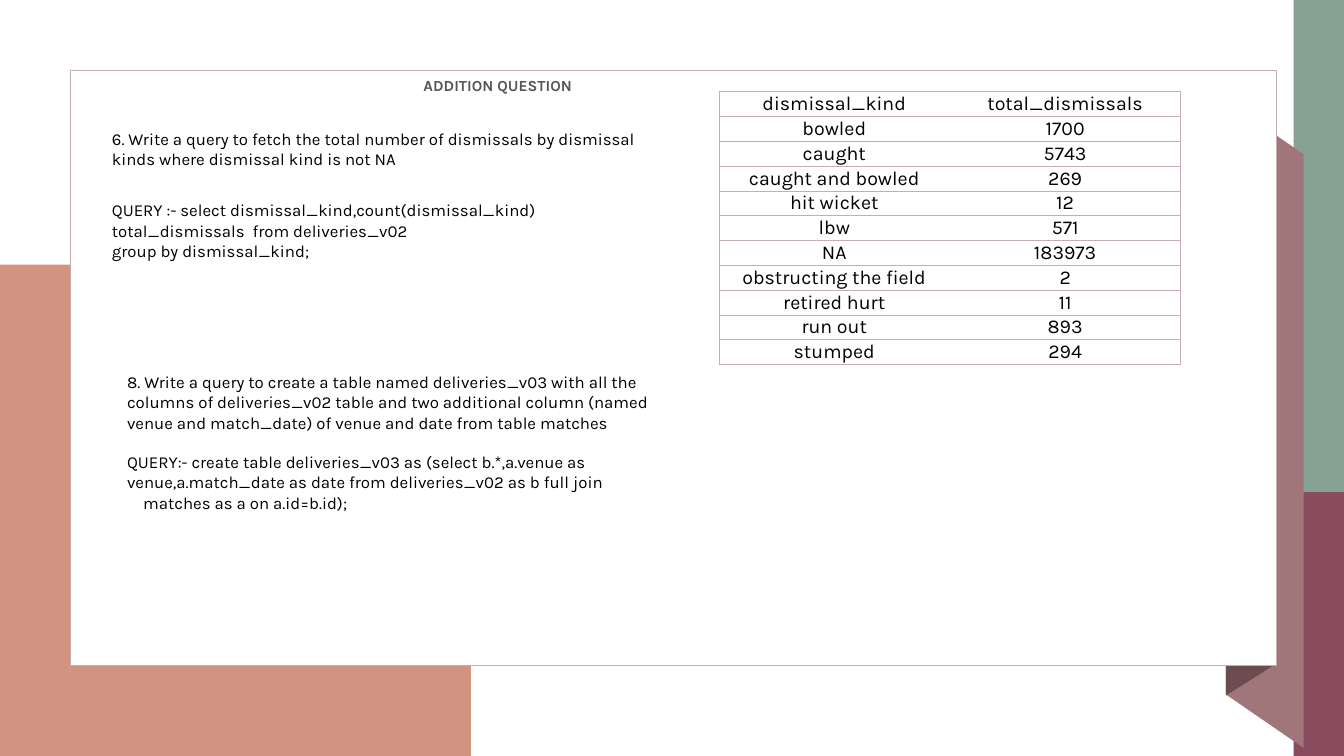
"""Build the dismissals question slide with its query text and result table."""
from dataclasses import dataclass

from lxml.etree import SubElement
from pptx import Presentation
from pptx.dml.color import RGBColor
from pptx.enum.shapes import MSO_SHAPE as Preset
from pptx.enum.text import MSO_ANCHOR as Anchor, MSO_AUTO_SIZE as AutoSize, PP_ALIGN as Align
from pptx.oxml.ns import qn
from pptx.util import Emu, Inches, Pt

WIDTH, HEIGHT = Inches(13.33), Inches(7.5)
COLUMNS, ROWS = 133.3, 75
FONT, ROSE, BLACK, WHITE = "Karla", "C6ADB0", "000000", "FFFFFF"


@dataclass(frozen=True)
class Box:
    """A place on the grid, in columns and rows."""
    left: float
    top: float
    width: float
    height: float

    def lengths(self) -> tuple[Emu, Emu, Emu, Emu]:
        """Return the place as slide lengths."""
        return column(self.left), row(self.top), column(self.width), row(self.height)


@dataclass(frozen=True)
class Panel:
    """A filled rectangle with an optional outline."""
    box: Box
    fill: str
    line: str = ""


@dataclass(frozen=True)
class Fold:
    """A filled side of the ribbon, as grid points."""
    points: tuple[tuple[float, float], ...]
    fill: str


@dataclass(frozen=True)
class Line:
    """A paragraph with the space before it and its indent in columns."""
    text: str
    before: float = 0
    indent: float = 0


@dataclass(frozen=True)
class TextBlock:
    """Text for one placeholder of the layout."""
    holder: int
    box: Box
    lines: tuple[Line, ...]
    size: float = 12
    color: str = BLACK
    bold: bool = False


PANELS = (
    Panel(Box(0, 26.25, 46.7, 48.75), "D29381"),
    Panel(Box(128.3, 48.6, 5, 26.4), "884C5E"),
    Panel(Box(128.3, 0, 5, 48.8), "86A293"),
)
FOLDS = (
    Fold(((129.3, 74.2), (121.6, 68.9), (121.6, 10), (129.3, 15.3)), "A0767B"),
    Fold(((126.2, 66.1), (121.6, 69), (121.6, 10), (126.2, 7)), "6D4C50"),
)
CARD = Panel(Box(7, 7, 119.6, 59), WHITE, ROSE)
TEXTS = (
    TextBlock(0, Box(41, 7.1, 45.8, 2.9), (Line("ADDITION QUESTION"),), 11, "555555", True),
    TextBlock(1, Box(10.1, 12.3, 56.7, 13.1), (
        Line("6. Write a query to fetch the total number of dismissals by dismissal "
             "kinds where dismissal kind is not NA"),
        Line("QUERY :- select dismissal_kind,count(dismissal_kind) "
             "total_dismissals  from deliveries_v02", before=22),
        Line("group by dismissal_kind;"),
    )),
    TextBlock(2, Box(11.6, 36.4, 57, 15.1), (
        Line("8. Write a query to create a table named deliveries_v03 with all the columns "
             "of deliveries_v02 table and two additional column (named venue and match_date) "
             "of venue and date from table matches"),
        Line("QUERY:- create table deliveries_v03 as (select b.*,a.venue as "
             "venue,a.match_date as date from deliveries_v02 as b full join", before=14),
        Line("matches as a on a.id=b.id);", indent=1.6),
    )),
)
TABLE_BOX = Box(71.3, 9.1, 45.8, 27.1)
DISMISSALS = (
    ("dismissal_kind", "total_dismissals"),
    ("bowled", "1700"),
    ("caught", "5743"),
    ("caught and bowled", "269"),
    ("hit wicket", "12"),
    ("lbw", "571"),
    ("NA", "183973"),
    ("obstructing the field", "2"),
    ("retired hurt", "11"),
    ("run out", "893"),
    ("stumped", "294"),
)


def column(count: float) -> Emu:
    """Return the length of a number of columns."""
    return Emu(round(WIDTH * count / COLUMNS))


def row(count: float) -> Emu:
    """Return the length of a number of rows."""
    return Emu(round(HEIGHT * count / ROWS))


def paint(target, color: str) -> None:
    """Give a fill or a line fill one solid colour."""
    target.solid()
    target.fore_color.rgb = RGBColor.from_string(color)


def assign(target, values: dict) -> None:
    """Set attributes from a dict of format values."""
    for name, value in values.items():
        setattr(target, name, value)


def write(para, text: str, size: float, color: str, bold: bool = False) -> None:
    """Add a formatted span to a paragraph."""
    span = para.add_run()
    span.text = text
    assign(span.font, {"name": FONT, "size": Pt(size), "bold": bold})
    paint(span.font.fill, color)


def finish(shape, fill: str, line: str = "") -> None:
    """Colour a shape and drop its shadow."""
    shape.shadow.inherit = False
    paint(shape.fill, fill)
    if line:
        paint(shape.line.fill, line)
        shape.line.width = Pt(1)
    else:
        shape.line.fill.background()


def draw_panel(page, panel: Panel) -> None:
    """Draw a rectangle."""
    finish(page.shapes.add_shape(Preset.RECTANGLE, *panel.box.lengths()), panel.fill, panel.line)


def draw_fold(page, fold: Fold) -> None:
    """Draw a side of the ribbon."""
    start, *others = [(column(x), row(y)) for x, y in fold.points]
    builder = page.shapes.build_freeform(*start)
    builder.add_line_segments(others, close=True)
    finish(builder.convert_to_shape(), fold.fill)


def fill_text(page, block: TextBlock) -> None:
    """Place a placeholder in front and write its paragraphs."""
    shape = page.placeholders[block.holder]
    page.shapes._spTree.append(shape._element)
    assign(shape, dict(zip(("left", "top", "width", "height"), block.box.lengths())))
    frame = shape.text_frame
    assign(frame, {"word_wrap": True, "auto_size": AutoSize.NONE, "vertical_anchor": Anchor.TOP})
    for index, line in enumerate(block.lines):
        para = frame.add_paragraph() if index else frame.paragraphs[0]
        assign(para, {"alignment": Align.LEFT, "space_before": Pt(line.before),
                      "space_after": Pt(0), "line_spacing": 1.0})
        properties = para._p.get_or_add_pPr()
        properties.set("marL", str(column(line.indent)))
        properties.set("indent", "0")
        SubElement(properties, qn("a:buNone"))
        write(para, line.text, block.size, block.color, block.bold)


def draw_borders(cell, hidden: str) -> None:
    """Outline a cell, leaving one side without a line."""
    properties = cell._tc.get_or_add_tcPr()
    for side in "LRTB":
        edge = SubElement(properties, qn(f"a:ln{side}"), w=str(Pt(0.5)))
        if side == hidden:
            SubElement(edge, qn("a:noFill"))
        else:
            SubElement(SubElement(edge, qn("a:solidFill")), qn("a:srgbClr"), val=ROSE)


def draw_table(page) -> None:
    """Draw the result table with open inner columns."""
    frame = page.shapes.add_table(len(DISMISSALS), 2, *TABLE_BOX.lengths())
    assign(frame.table, {"first_row": False, "horz_banding": False})
    for line, record in enumerate(DISMISSALS):
        frame.table.rows[line].height = row(TABLE_BOX.height / len(DISMISSALS))
        for place, text in enumerate(record):
            cell = frame.table.cell(line, place)
            assign(cell, {"vertical_anchor": Anchor.MIDDLE, "margin_left": 0, "margin_right": 0,
                          "margin_top": 0, "margin_bottom": 0})
            draw_borders(cell, "RL"[place])
            cell.fill.background()
            para = cell.text_frame.paragraphs[0]
            para.alignment = Align.CENTER
            write(para, text, 14, BLACK)


def main() -> None:
    """Build and save the deck."""
    deck = Presentation()
    assign(deck, {"slide_width": WIDTH, "slide_height": HEIGHT})
    page = deck.slides.add_slide(deck.slide_layouts.get_by_name("Two Content"))
    paint(page.background.fill, WHITE)
    for panel in PANELS:
        draw_panel(page, panel)
    for fold in FOLDS:
        draw_fold(page, fold)
    draw_panel(page, CARD)
    for block in TEXTS:
        fill_text(page, block)
    draw_table(page)
    deck.save("out.pptx")


if __name__ == "__main__":
    main()
